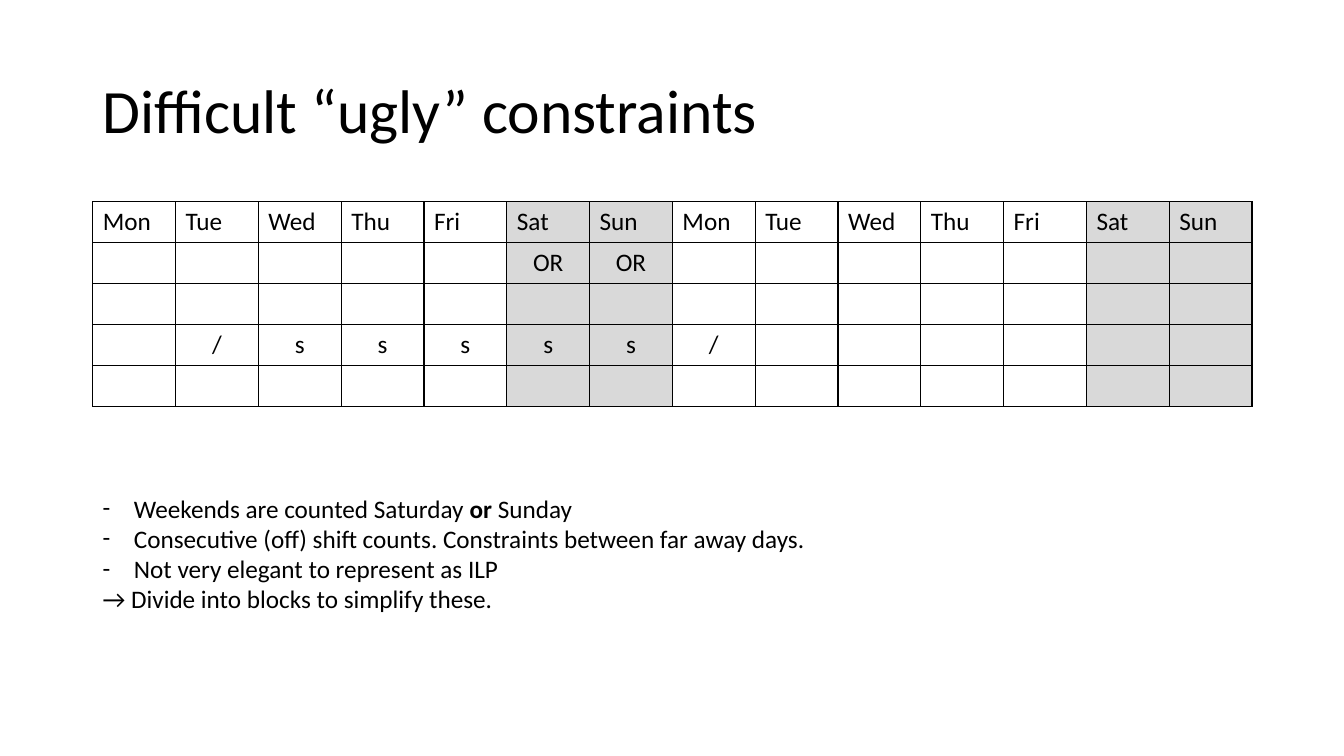
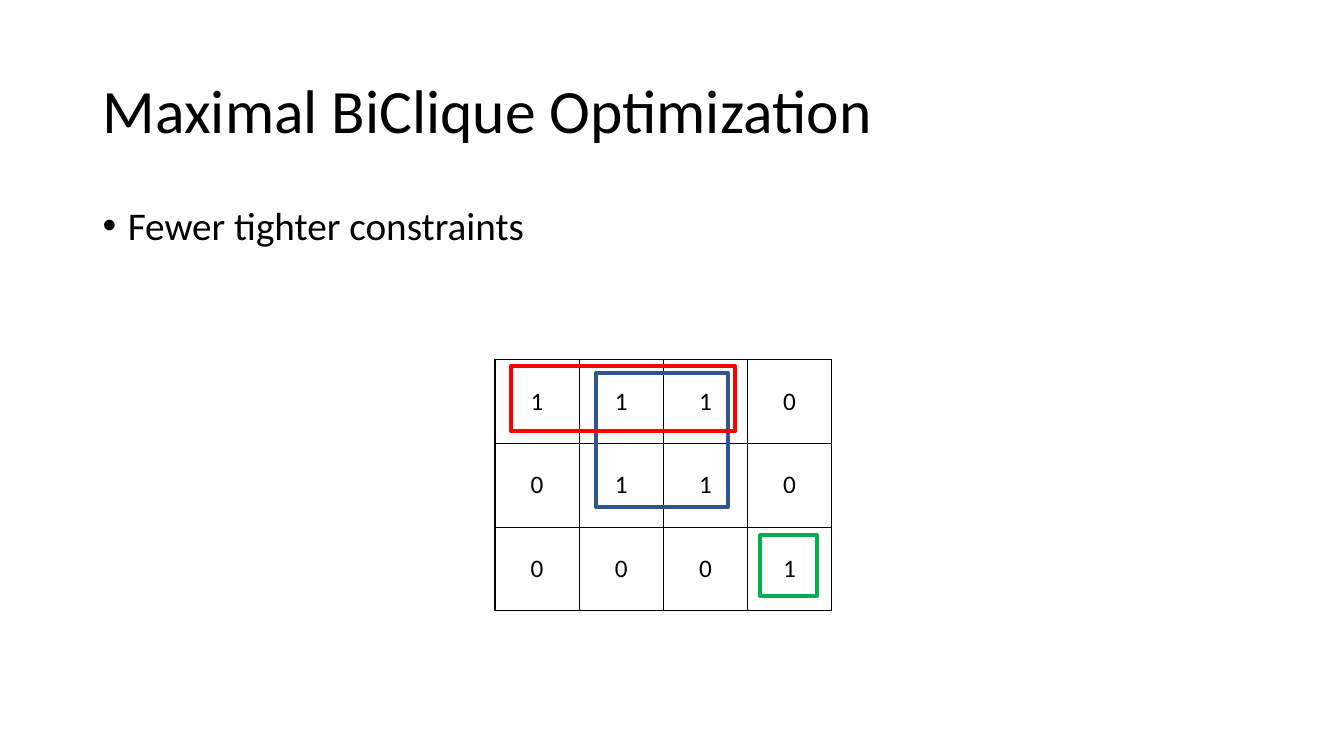
"""Two slides on shift-scheduling constraints and biclique optimization."""
from lxml import etree
from pptx import Presentation
from pptx.dml.color import RGBColor
from pptx.enum.shapes import MSO_SHAPE
from pptx.enum.text import MSO_ANCHOR, PP_ALIGN
from pptx.oxml.ns import qn
from pptx.util import Inches, Pt

LEFT, CENTER = PP_ALIGN.LEFT, PP_ALIGN.CENTER
TOP, MIDDLE = MSO_ANCHOR.TOP, MSO_ANCHOR.MIDDLE
RECTANGLE = MSO_SHAPE.RECTANGLE
COLORS = {
    "text": "000000",
    "cell": "FFFFFF",
    "weekend": "D9D9D9",
    "blue": "325491",
    "red": "FF0000",
    "green": "00B050",
}
FONT = "Calibri"
MARGIN, CONTENT_WIDTH = 0.92, 11.5


class Deck:
    """Holds the shared style and the current slide."""

    def __init__(self):
        self.presentation = Presentation()
        self.presentation.slide_width = Inches(13.33)
        self.presentation.slide_height = Inches(7.5)
        self.slide = None

    def color(self, name):
        return RGBColor.from_string(COLORS[name])

    def add_slide(self, title):
        self.slide = self.presentation.slides.add_slide(self.presentation.slide_layouts[6])
        self.text(0.4, 1.45, [[title]], size=44, anchor=MIDDLE, line_spacing=0.9)

    def run(self, paragraph, words, size, bold=False):
        run = paragraph.add_run()
        run.text = words
        run.font.name, run.font.size, run.font.bold = FONT, Pt(size), bold
        run.font.color.rgb = self.color("text")

    def bullet(self, paragraph, mark, indent):
        properties = paragraph._p.get_or_add_pPr()
        properties.set("marL", str(Inches(indent)))
        properties.set("indent", str(-Inches(indent)))
        etree.SubElement(properties, qn("a:buFont"), typeface="Arial" if mark == "•" else FONT)
        etree.SubElement(properties, qn("a:buChar"), char=mark)

    def text(self, top, height, paragraphs, size=18, anchor=TOP, line_spacing=1.0,
             mark=None, indent=0, bulleted=0):
        """Write paragraphs of runs; every second run is bold."""
        box = self.slide.shapes.add_textbox(
            Inches(MARGIN), Inches(top), Inches(CONTENT_WIDTH), Inches(height))
        frame = box.text_frame
        frame.word_wrap, frame.vertical_anchor = True, anchor
        for index, runs in enumerate(paragraphs):
            paragraph = frame.add_paragraph() if index else frame.paragraphs[0]
            paragraph.line_spacing = line_spacing
            if index < bulleted:
                self.bullet(paragraph, mark, indent)
            for position, words in enumerate(runs):
                self.run(paragraph, words, size, bold=position % 2 == 1)

    def borders(self, cell):
        properties = cell._tc.get_or_add_tcPr()
        for side in ("lnL", "lnR", "lnT", "lnB"):
            line = etree.SubElement(properties, qn(f"a:{side}"), w=str(Pt(1)))
            fill = etree.SubElement(line, qn("a:solidFill"))
            etree.SubElement(fill, qn("a:srgbClr"), val=COLORS["text"])

    def table(self, left, top, width, height, rows, shaded=(), header=False, anchor=TOP):
        table = self.slide.shapes.add_table(
            len(rows), len(rows[0]), Inches(left), Inches(top),
            Inches(width), Inches(height)).table
        table.first_row = table.horz_banding = False
        for row_index, row in enumerate(rows):
            for column_index, words in enumerate(row):
                cell = table.cell(row_index, column_index)
                self.borders(cell)
                cell.fill.solid()
                cell.fill.fore_color.rgb = self.color(
                    "weekend" if column_index in shaded else "cell")
                cell.vertical_anchor = anchor
                paragraph = cell.text_frame.paragraphs[0]
                paragraph.alignment = LEFT if header and row_index == 0 else CENTER
                if words:
                    self.run(paragraph, words, 18)

    def outline(self, left, top, width, height, color):
        frame = self.slide.shapes.add_shape(
            RECTANGLE, Inches(left), Inches(top), Inches(width), Inches(height))
        frame.shadow.inherit = False
        frame.fill.background()
        frame.line.color.rgb = self.color(color)
        frame.line.width = Pt(3)


def build_constraints(deck):
    deck.add_slide("Difficult “ugly” constraints")
    week = ["Mon", "Tue", "Wed", "Thu", "Fri", "Sat", "Sun"]
    free_day = [""] * 14
    weekend_rule = [""] * 5 + ["OR"] * 2 + [""] * 7
    shift_run = ["", "/"] + ["s"] * 5 + ["/"] + [""] * 6
    deck.table(MARGIN, 2, CONTENT_WIDTH, 2.03,
               [week * 2, weekend_rule, free_day, shift_run, free_day],
               shaded=(5, 6, 12, 13), header=True)
    deck.text(4.84, 1.62, [
        ["Weekends are counted Saturday", " or ", "Sunday"],
        ["Consecutive (off) shift counts. Constraints between far away days."],
        ["Not very elegant to represent as ILP"],
        ["→ Divide into blocks to simplify these."],
    ], mark="-", indent=0.31, bulleted=3)


def build_biclique(deck):
    deck.add_slide("Maximal BiClique Optimization")
    deck.table(4.91, 3.57, 3.34, 2.49, ["1110", "0110", "0001"], anchor=MIDDLE)
    deck.outline(5.91, 3.7, 1.31, 1.33, "blue")
    deck.outline(5.07, 3.63, 2.22, 0.65, "red")
    deck.outline(7.54, 5.31, 0.56, 0.6, "green")
    deck.text(2, 4.76, [["Fewer tighter constraints"]], size=28, line_spacing=0.9,
              mark="•", indent=0.25, bulleted=1)


def main():
    deck = Deck()
    build_constraints(deck)
    build_biclique(deck)
    deck.presentation.save("out.pptx")


if __name__ == "__main__":
    main()
